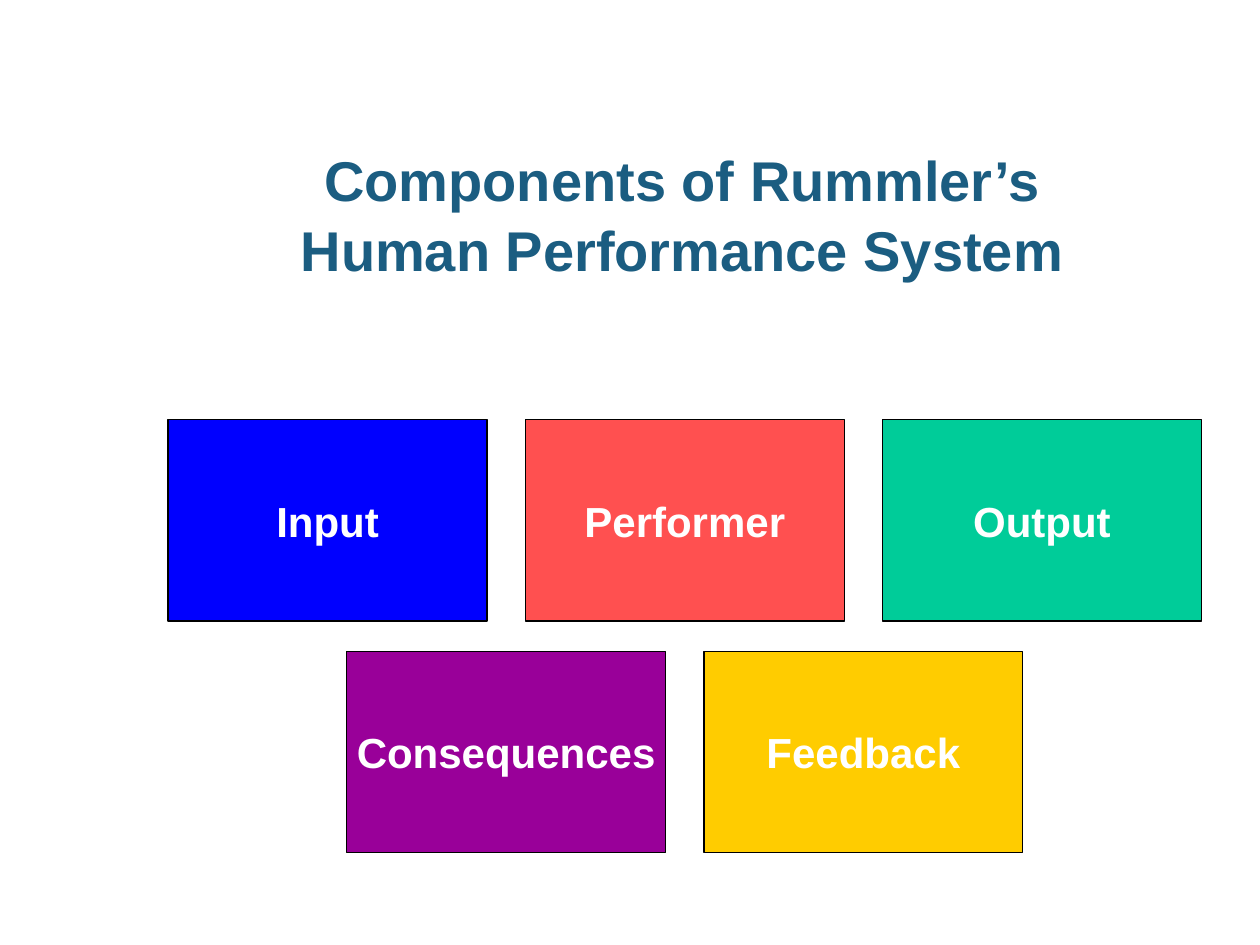
import pptx
import pptx.dml.color
import pptx.enum.shapes
import pptx.enum.text
import pptx.util
from pptx.util import Cm

BOX_WIDTH, BOX_HEIGHT = 6.43, 4.06
COLUMN_STEP, ROW_STEP = 7.2, 4.67
GRID_LEFT, GRID_TOP = 3.39, 8.46
COMPONENT_ROWS = [
    [("Input", "0000FF"), ("Performer", "FF5050"), ("Output", "00CC99")],
    [("Consequences", "990099"), ("Feedback", "FFCC00")],
]


def color(value):
    return pptx.dml.color.RGBColor.from_string(value)


def write_lines(shape, lines, size, font_color):
    """Fill a shape with one centred bold paragraph, broken into lines."""
    frame = shape.text_frame
    frame.vertical_anchor = pptx.enum.text.MSO_ANCHOR.MIDDLE
    paragraph = frame.paragraphs[0]
    paragraph.alignment = pptx.enum.text.PP_ALIGN.CENTER
    for index, line in enumerate(lines):
        if index:
            paragraph.add_line_break()
        run = paragraph.add_run()
        run.text = line
        run.font.name = "Arial"
        run.font.size = pptx.util.Pt(size)
        run.font.bold = True
        run.font.color.rgb = color(font_color)
    return paragraph


def add_title(slide, lines):
    title = slide.shapes.add_textbox(Cm(0), Cm(2.8), Cm(27.51), Cm(2.97))
    title.text_frame.word_wrap = True
    paragraph = write_lines(title, lines, 32, "1B5D81")
    paragraph.line_spacing = 1.04


def add_component(slide, left, top, label, fill):
    box = slide.shapes.add_shape(
        pptx.enum.shapes.MSO_SHAPE.RECTANGLE,
        Cm(left), Cm(top), Cm(BOX_WIDTH), Cm(BOX_HEIGHT))
    box.shadow.inherit = False
    box.fill.solid()
    box.fill.fore_color.rgb = color(fill)
    box.line.color.rgb = color("000000")
    box.line.width = pptx.util.Pt(0.75)
    box.text_frame.word_wrap = False
    write_lines(box, [label], 24, "FFFFFF")


def add_component_rows(slide):
    """Place the rows of boxes, each centred under the first."""
    for row, components in enumerate(COMPONENT_ROWS):
        missing = len(COMPONENT_ROWS[0]) - len(components)
        row_left = GRID_LEFT + missing * COLUMN_STEP / 2
        for column, (label, fill) in enumerate(components):
            add_component(slide, row_left + column * COLUMN_STEP,
                          GRID_TOP + row * ROW_STEP, label, fill)


def main():
    presentation = pptx.Presentation()
    presentation.slide_width = Cm(25.4)
    presentation.slide_height = Cm(19.05)
    slide = presentation.slides.add_slide(presentation.slide_layouts[6])
    add_title(slide, ["Components of Rummler’s", "Human Performance System"])
    add_component_rows(slide)
    presentation.save("out.pptx")


if __name__ == "__main__":
    main()
